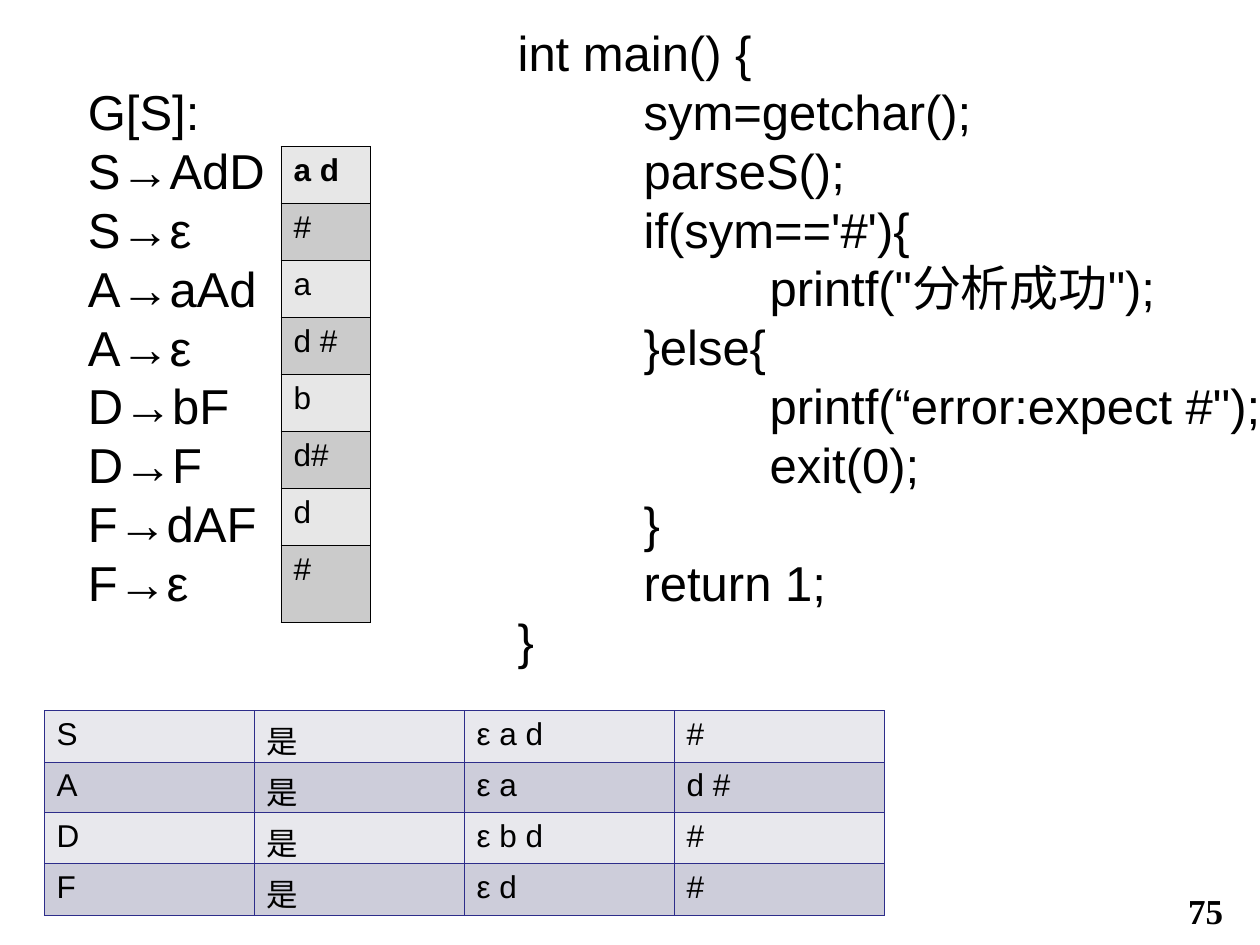
from lxml import etree
from pptx import Presentation
from pptx.dml.color import RGBColor
from pptx.enum import text
from pptx.oxml import ns
from pptx.util import Pt

COLORS = {
    "ink": "000000",
    "set_line": "2D2D8A", "set_light": "E8E8ED", "set_dark": "CDCDDA",
    "select_line": "000000", "select_light": "E7E7E7", "select_dark": "CBCBCB",
}
GRAMMAR = ["G[S]:", "S→AdD", "S→ε", "A→aAd", "A→ε", "D→bF", "D→F", "F→dAF", "F→ε"]
SELECT_SETS = [["a d"], ["#"], ["a"], ["d #"], ["b"], ["d#"], ["d"], ["#"]]
SYMBOL_SETS = [
    ["S", "是", "ε a d", "#"],
    ["A", "是", "ε a", "d #"],
    ["D", "是", "ε b d", "#"],
    ["F", "是", "ε d", "#"],
]
MAIN_CODE = """int main() {
\tsym=getchar();
\tparseS();
\tif(sym=='#'){
\t\tprintf("分析成功");
\t}else{
\t\tprintf(“error:expect #");
\t\texit(0);
\t}
\treturn 1;
}""".split("\n")


def color(key):
    """Return the palette colour for a key."""
    return RGBColor.from_string(COLORS[key])


def style(paragraph, size, font="Arial", bold=False):
    """Set the font of a paragraph."""
    paragraph.font.name = font
    paragraph.font.size = Pt(size)
    paragraph.font.bold = bold
    paragraph.font.color.rgb = color("ink")


def add_tabs(paragraph):
    """Add tab stops at every 72 points."""
    tabs = etree.SubElement(paragraph._p.get_or_add_pPr(), ns.qn("a:tabLst"))
    for stop in range(1, 8):
        etree.SubElement(tabs, ns.qn("a:tab"), pos=str(Pt(72 * stop)), algn="l")


def add_lines(slide, box, lines, size=28, font="Arial", bold=False, wrap=False):
    """Write lines of text, one paragraph each, into a box."""
    frame = slide.shapes.add_textbox(*map(Pt, box)).text_frame
    frame.word_wrap = wrap
    frame.auto_size = text.MSO_AUTO_SIZE.SHAPE_TO_FIT_TEXT
    for index, line in enumerate(lines):
        paragraph = frame.paragraphs[0] if index == 0 else frame.add_paragraph()
        paragraph.text = line
        if "\t" in line:
            add_tabs(paragraph)
        style(paragraph, size, font, bold)


def add_borders(cell, key):
    """Draw a thin line on all four sides of a cell."""
    properties = cell._tc.get_or_add_tcPr()
    for side in ("lnL", "lnR", "lnT", "lnB"):
        line = etree.SubElement(properties, ns.qn(f"a:{side}"), w=str(Pt(0.45)))
        fill = etree.SubElement(line, ns.qn("a:solidFill"))
        etree.SubElement(fill, ns.qn("a:srgbClr"), val=COLORS[key])


def add_sets(slide, box, rows, heights, palette, bold_first=False):
    """Build a banded table of symbol sets in a box."""
    table = slide.shapes.add_table(len(rows), len(rows[0]), *map(Pt, box)).table
    table.first_row = table.horz_banding = False
    for column in table.columns:
        column.width = Pt(box[2] / len(rows[0]))
    for r, (values, height) in enumerate(zip(rows, heights)):
        table.rows[r].height = Pt(height)
        for c, value in enumerate(values):
            cell = table.cell(r, c)
            cell.text = value
            style(cell.text_frame.paragraphs[0], 18, bold=bold_first and r == c == 0)
            add_borders(cell, f"{palette}_line")
            cell.fill.solid()
            cell.fill.fore_color.rgb = color(f"{palette}_{'dark' if r % 2 else 'light'}")


def main():
    """Build the parser slide and save it."""
    deck = Presentation()
    deck.slide_width, deck.slide_height = Pt(720), Pt(540)
    slide = deck.slides.add_slide(deck.slide_layouts[6])
    add_lines(slide, (671.8, 505, 48.2, 31.5), ["75"], 20, "Times New Roman", True, True)
    add_lines(slide, (43.2, 43.2, 115.2, 310.3), GRAMMAR)
    add_sets(slide, (25.2, 406, 480, 117), SYMBOL_SETS, [29.5, 29, 29, 29.5], "set")
    add_sets(slide, (160.6, 83.5, 51.1, 272.2), SELECT_SETS, [32.6] * 7 + [44], "select", True)
    add_lines(slide, (288.7, 9.4, 438.5, 377.3), MAIN_CODE)
    deck.save("out.pptx")


if __name__ == "__main__":
    main()
